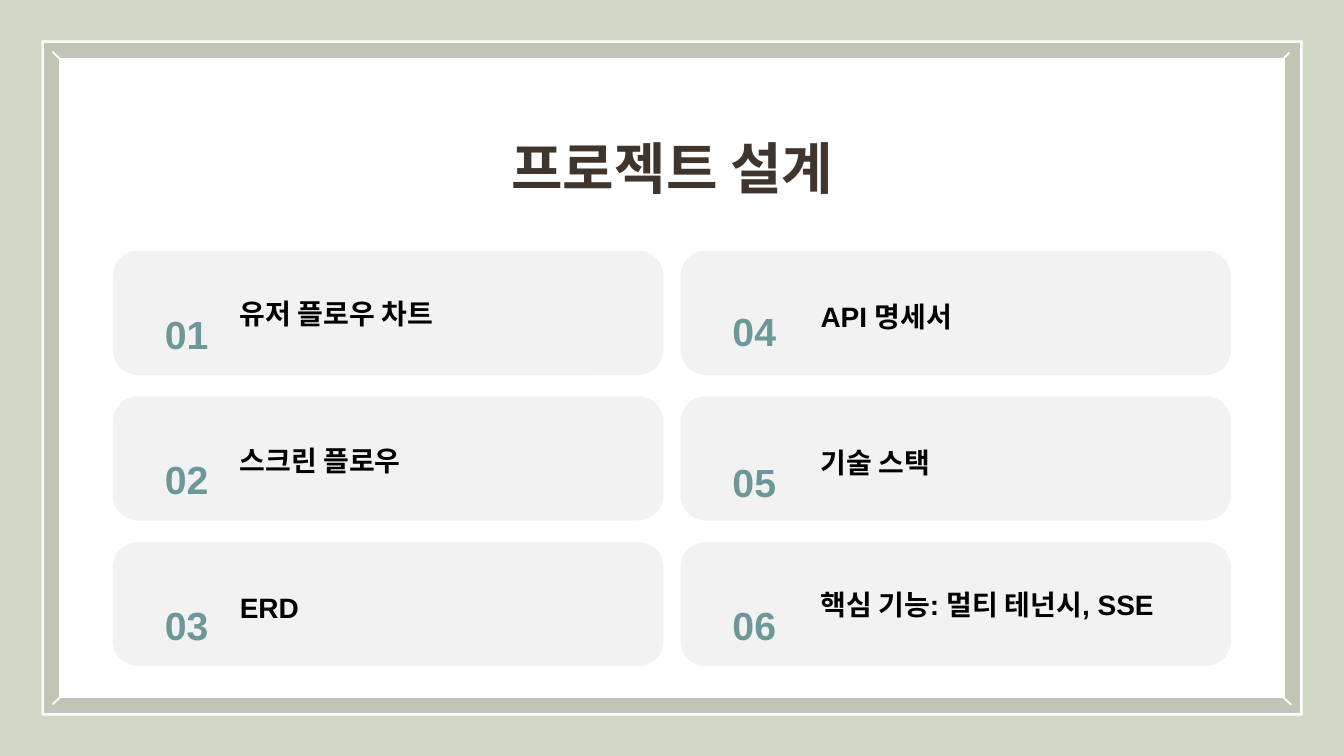
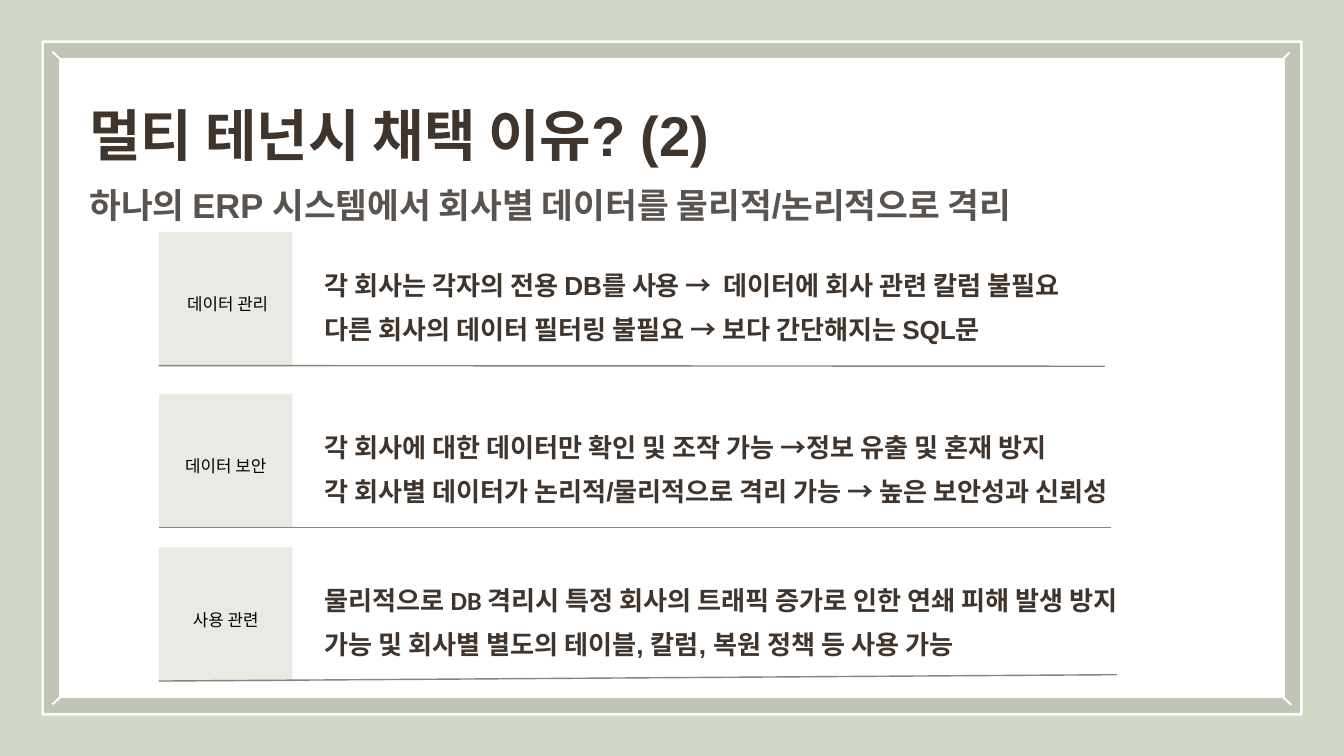
from dataclasses import dataclass

from lxml import etree
from pptx import Presentation
from pptx import util as u
from pptx.dml.color import RGBColor
from pptx.enum import shapes, text
from pptx.oxml import ns

Pt = u.Pt
LEFT, CENTER = text.PP_ALIGN.LEFT, text.PP_ALIGN.CENTER


@dataclass(frozen=True)
class Theme:
    # Colours
    backdrop: str = "D0D9C6"
    paper: str = "FFFFFF"
    border: str = "C0C5B6"
    card: str = "F2F2F2"
    tag: str = "E8EBE4"
    rule: str = "86867D"
    heading: str = "40352D"
    subheading: str = "5A5450"
    number: str = "6D9799"
    label: str = "000000"
    # Type
    sans: str = "Arial"
    alternate: str = "Calibri"
    title_size: float = 60
    subtitle_size: float = 37
    number_size: float = 42
    label_size: float = 30
    body_size: float = 28
    tag_size: float = 18
    loose: float = 1.4
    tight: float = 0.96
    tag_spacing: float = 1.94


class Deck:
    """Holds the style and the current slide."""

    def __init__(self, theme):
        self.theme = theme
        self.prs = Presentation()
        self.prs.slide_width, self.prs.slide_height = Pt(1440), Pt(810)
        self.slide = None

    def new_slide(self):
        self.slide = self.prs.slides.add_slide(self.prs.slide_layouts[6])
        fill = self.slide.background.fill
        fill.solid()
        fill.fore_color.rgb = RGBColor.from_string(self.theme.backdrop)
        self.frame()

    def frame(self):
        t = self.theme
        self.box(44.5, 43.2, 1351.2, 723.6, t.paper)
        border = self.box(55.4, 54, 1329.2, 702, t.paper)
        border.line.color.rgb = RGBColor.from_string(t.border)
        border.line.width = Pt(16.5)
        outline = border._element.spPr.find(ns.qn("a:ln"))
        etree.SubElement(outline, ns.qn("a:miter"), lim="800000")
        # Mitre marks in the four corners
        for mark in ((56.2, 55.4, 72, 70.6), (1366.2, 739.4, 1383.8, 755.3),
                     (56.2, 754.6, 71.3, 740.9), (1367.3, 70.6, 1381.7, 56.2)):
            self.line(*mark, t.paper, 2)

    def box(self, left, top, width, height, color, radius=0):
        kind = shapes.MSO_SHAPE.ROUNDED_RECTANGLE if radius else shapes.MSO_SHAPE.RECTANGLE
        box = self.slide.shapes.add_shape(kind, Pt(left), Pt(top), Pt(width), Pt(height))
        if radius:
            box.adjustments[0] = radius / min(width, height)
        box.shadow.inherit = False
        box.fill.solid()
        box.fill.fore_color.rgb = RGBColor.from_string(color)
        box.line.fill.background()
        return box

    def line(self, x1, y1, x2, y2, color, width):
        line = self.slide.shapes.add_connector(
            shapes.MSO_CONNECTOR.STRAIGHT, Pt(x1), Pt(y1), Pt(x2), Pt(y2))
        line.line.color.rgb = RGBColor.from_string(color)
        line.line.width = Pt(width)
        etree.SubElement(line._element.spPr, ns.qn("a:effectLst"))

    def run(self, paragraph, words, size, color, font=None, bold=True):
        run = paragraph.add_run()
        run.text = words
        run.font.name = font or self.theme.sans
        run.font.size = Pt(size)
        run.font.bold = bold
        run.font.color.rgb = RGBColor.from_string(color)

    def text(self, left, top, width, height, paragraphs, align=LEFT, spacing=None):
        """Each paragraph is a list of runs: (words, size, color[, font])."""
        frame = self.slide.shapes.add_textbox(
            Pt(left), Pt(top), Pt(width), Pt(height)).text_frame
        frame.word_wrap = True
        frame.auto_size = text.MSO_AUTO_SIZE.SHAPE_TO_FIT_TEXT
        frame.margin_left = frame.margin_right = frame.margin_top = frame.margin_bottom = 0
        for index, runs in enumerate(paragraphs):
            paragraph = frame.add_paragraph() if index else frame.paragraphs[0]
            paragraph.alignment = align
            paragraph.line_spacing = spacing or self.theme.loose
            for run in runs:
                self.run(paragraph, *run)

    def tag(self, left, top, width, height, words):
        t = self.theme
        frame = self.box(left, top, width, height, t.tag).text_frame
        frame.word_wrap = True
        frame.vertical_anchor = text.MSO_ANCHOR.MIDDLE
        frame.margin_left = frame.margin_right = Pt(3.6)
        frame.margin_top, frame.margin_bottom = Pt(0), Pt(9)
        paragraph = frame.paragraphs[0]
        paragraph.alignment = CENTER
        paragraph.line_spacing = t.tag_spacing
        self.run(paragraph, words, t.tag_size, t.label, t.alternate, bold=False)


def design_overview(deck):
    t = deck.theme
    deck.new_slide()

    # Topics by column, with the drop of number and label below the card top
    columns = [
        (121, 136, [("유저 플로우 차트", 43.2, 51.1),
                    ("스크린 플로우", 43.4, 52.8),
                    ("ERD", 43.6, 54.4)]),
        (729.2, 149.9, [("API 명세서", 41, 54.7),
                        ("기술 스택", 46.3, 54.9),
                        ("핵심 기능: 멀티 테넌시, SSE", 43.6, 51.6)]),
    ]
    number = 0
    for left, label_indent, topics in columns:
        for row, (topic, number_drop, label_drop) in enumerate(topics):
            number += 1
            top = 268.6 + row * 156
            deck.box(left, top, 589.7, 133.2, t.card, radius=27)
            deck.text(left + 37.2, top + number_drop, 83.5, 51.1,
                      [[(f"{number:02}", t.number_size, t.number)]], CENTER)
            deck.text(left + label_indent, top + label_drop, 370, 34.6,
                      [[(topic, t.label_size, t.label)]], spacing=t.tight)

    deck.text(417.6, 114.5, 605.5, 72.7,
              [[("프로젝트 설계", t.title_size, t.heading)]], CENTER)


def tenancy_reasons(deck):
    t = deck.theme
    deck.new_slide()
    deck.text(95.8, 78.5, 1165.7, 164.9, [
        [("멀티 테넌시 채택 이유? (2)", t.title_size, t.heading)],
        [("하나의 ERP 시스템에서 회사별 데이터를 물리적/논리적으로 격리",
          t.subtitle_size, t.subheading)],
    ])

    # Reasons: tag, top, body width, end of the rule, body paragraphs
    reasons = [
        (" 데이터 관리", 248.4, 931.7, (1183.7, 392.4), [
            [("각 회사는 각자의 전용 DB를 사용 →  데이터에 회사 관련 칼럼 불필요", t.sans)],
            [("다른 회사의 데이터 필터링 불필요 → 보다 간단해지는 SQL문", t.sans)],
        ]),
        ("데이터 보안", 421.9, 931.7, (1190.2, 565.2), [
            [("각 회사에 대한 데이터만 확인 및 조작 가능 →정보 유출 및 혼재 방지", t.sans)],
            [("각 회사별 데이터가 논리적/물리적으로 격리 가능 → 높은 보안성과 신뢰성", t.sans)],
        ]),
        ("사용 관련", 586.4, 894.2, (1196.6, 722.9), [
            [("물리적으로 DB 격리시 특정 회사의 트래픽 증가로 인한 연쇄 피해 발생 방지 가능",
              t.alternate),
             (" 및 회사별 별도의 테이블, 칼럼, 복원 정책 등 사용 가능", t.sans)],
        ]),
    ]
    for name, top, body_width, rule_end, body in reasons:
        deck.tag(170.6, top, 142.6, 143.8, name)
        deck.text(347.8, top + 26.8, body_width, 95, [
            [(words, t.body_size, t.heading, font) for words, font in runs]
            for runs in body])
        deck.line(170, top + 143.3, *rule_end, t.rule, 1.5)


def main():
    deck = Deck(Theme())
    design_overview(deck)
    tenancy_reasons(deck)
    deck.prs.save("out.pptx")


if __name__ == "__main__":
    main()
